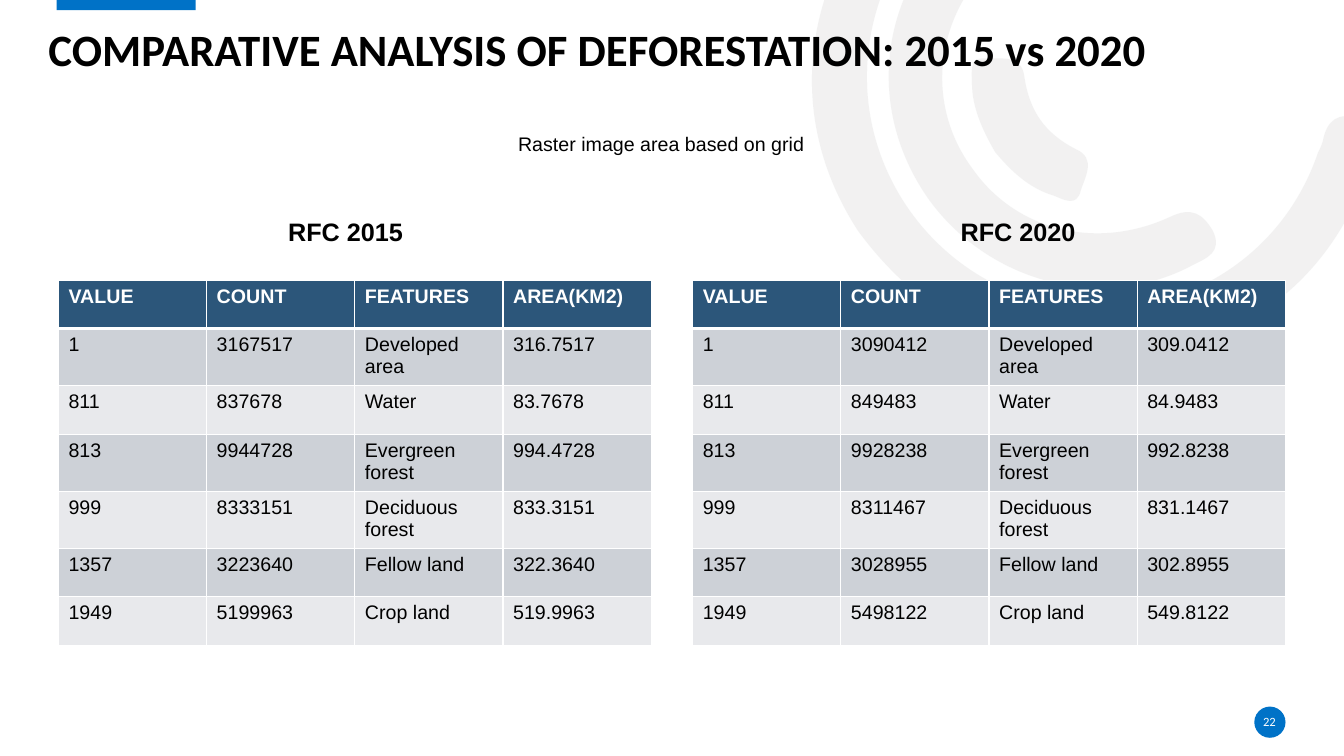
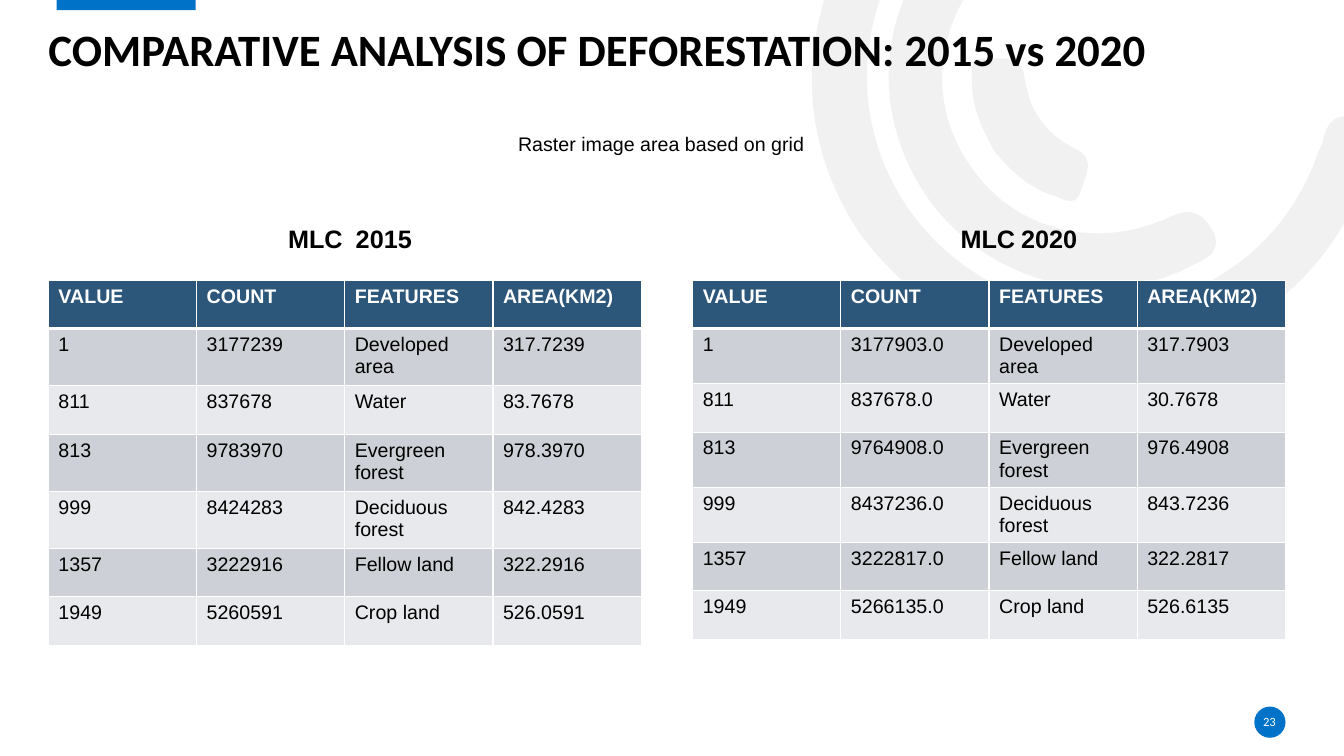
from math import cos, radians, sin

from lxml.etree import SubElement
from pptx import Presentation
from pptx.dml.color import RGBColor
from pptx.enum.shapes import MSO_SHAPE
from pptx.enum.text import MSO_ANCHOR, PP_ALIGN
from pptx.oxml.ns import qn
from pptx.util import Inches, Pt

BLUE, NAVY, WHITE, BLACK, GREY = "0072C7", "2C567A", "FFFFFF", "000000", "E7E6E6"
BANDS = ("CDD1D7", "E8E9EC")
TITLE = "COMPARATIVE ANALYSIS OF DEFORESTATION: 2015 vs 2020"
SUBTITLE = "Raster image area based on grid"
HEADER = ("VALUE", "COUNT", "FEATURES", "AREA(KM2)")
CLASSES = [
    ("1", "Developed area"), ("811", "Water"), ("813", "Evergreen forest"),
    ("999", "Deciduous forest"), ("1357", "Fellow land"), ("1949", "Crop land"),
]
COL_W, ROW_H, TABLE_Y, TABLE_H = 1.47, 0.48, 2.78, 3.63

SLIDES = [
    {
        "number": "22",
        "label_y": 2.1,
        "labels": [("RFC 2015", 2.76, 1.48), ("RFC 2020", 9.43, 1.37)],
        "tables": [
            {"x": 0.58, "data": [
                ("3167517", "316.7517"), ("837678", "83.7678"), ("9944728", "994.4728"),
                ("8333151", "833.3151"), ("3223640", "322.3640"), ("5199963", "519.9963")]},
            {"x": 6.87, "data": [
                ("3090412", "309.0412"), ("849483", "84.9483"), ("9928238", "992.8238"),
                ("8311467", "831.1467"), ("3028955", "302.8955"), ("5498122", "549.8122")]},
        ],
    },
    {
        "number": "23",
        "label_y": 2.17,
        "labels": [("MLC", 2.76, 0.77), ("2015", 3.43, 1.88),
                   ("MLC", 9.43, 0.77), ("2020", 10.03, 1.88)],
        "tables": [
            {"x": 0.48, "data": [
                ("3177239", "317.7239"), ("837678", "83.7678"), ("9783970", "978.3970"),
                ("8424283", "842.4283"), ("3222916", "322.2916"), ("5260591", "526.0591")]},
            {"x": 6.87, "bottom": 0.03, "data": [
                ("3177903.0", "317.7903"), ("837678.0", "30.7678"), ("9764908.0", "976.4908"),
                ("8437236.0", "843.7236"), ("3222817.0", "322.2817"), ("5266135.0", "526.6135")]},
        ],
    },
]

ARC_TURN = 324.2
ARCS = [
    ((8.13, -2.02, 4.85, 6), (8.51, 2.29), [
        (7.99, 1.49, 7.87, 0.5, 8.38, -0.5), (8.9, -1.52, 9.76, -2.03, 10.9, -2.07),
        (11.05, -2.07, 11.21, -2.1, 11.31, -1.95), (11.44, -1.75, 11.27, -1.54, 10.98, -1.54),
        (9.67, -1.54, 8.65, -0.59, 8.6, 0.68), (8.56, 1.81, 9.36, 2.81, 10.46, 3.02),
        (11.6, 3.24, 12.7, 2.61, 13.07, 1.52), (13.09, 1.48, 13.11, 1.44, 13.12, 1.4),
        (13.16, 1.19, 13.27, 1.11, 13.49, 1.17), (13.73, 1.24, 13.67, 1.41, 13.61, 1.56),
        (13.34, 2.45, 12.78, 3.07, 11.91, 3.41), (10.7, 3.87, 9.36, 3.45, 8.51, 2.29)]),
    ((9.01, -0.78, 2.13, 4.26), (9.22, 1.99), [
        (8.62, 1.15, 8.69, 0.07, 9.4, -0.68), (9.51, -0.79, 9.62, -0.95, 9.8, -0.78),
        (9.95, -0.64, 9.97, -0.5, 9.79, -0.32), (9.25, 0.26, 9.2, 1.08, 9.65, 1.68),
        (10.08, 2.29, 10.88, 2.49, 11.61, 2.15), (11.82, 2.05, 11.93, 2.12, 12.03, 2.29),
        (12.13, 2.5, 11.97, 2.56, 11.83, 2.63), (10.96, 3.1, 9.83, 2.82, 9.22, 1.99)]),
    ((9.8, 0.37, 0.78, 1.83), (9.87, 1.51), [
        (9.75, 1.3, 9.64, 1.07, 9.64, 0.82), (9.64, 0.73, 9.61, 0.57, 9.76, 0.58),
        (9.92, 0.59, 10.13, 0.53, 10.16, 0.76), (10.21, 1.1, 10.36, 1.32, 10.67, 1.48),
        (10.88, 1.57, 10.76, 1.76, 10.72, 1.89), (10.68, 2.06, 10.55, 1.98, 10.45, 1.94),
        (10.21, 1.87, 10.03, 1.7, 9.87, 1.51)]),
]


def rgb(color):
    return RGBColor.from_string(color)


def paint(sp, color):
    sp.shadow.inherit = False
    sp.fill.solid()
    sp.fill.fore_color.rgb = rgb(color)
    sp.line.fill.background()


def add_block(s, kind, x, y, w, h, color):
    sp = s.shapes.add_shape(kind, Inches(x), Inches(y), Inches(w), Inches(h))
    paint(sp, color)
    return sp


def write(tf, text, size=14, font="Arial", color=BLACK, bold=False, align=PP_ALIGN.LEFT, spacing=None):
    p = tf.paragraphs[0]
    p.alignment = align
    p.line_spacing = spacing
    r = p.add_run()
    r.text = text
    r.font.size, r.font.name, r.font.bold = Pt(size), font, bold
    r.font.color.rgb = rgb(color)


def add_text(s, text, x, y, w, h, inset=True, anchor=MSO_ANCHOR.TOP, **fmt):
    tf = s.shapes.add_textbox(Inches(x), Inches(y), Inches(w), Inches(h)).text_frame
    tf.word_wrap = True
    tf.vertical_anchor = anchor
    if not inset:
        tf.margin_left = tf.margin_right = tf.margin_top = tf.margin_bottom = 0
    write(tf, text, **fmt)


def add_arc(s, box, start, curves):
    x, y, w, h = box
    co, si = cos(radians(ARC_TURN)), sin(radians(ARC_TURN))

    def local(px, py):
        dx, dy = px - x - w / 2, py - y - h / 2
        return Inches(w / 2 + dx * co + dy * si), Inches(h / 2 - dx * si + dy * co)

    fb = s.shapes.build_freeform(*local(*start))
    fb.add_line_segments([local(*c[4:]) for c in curves], close=True)
    sp = fb.convert_to_shape()
    sp.left, sp.top, sp.width, sp.height = (Inches(v) for v in box)
    sp.rotation = ARC_TURN
    paint(sp, GREY)
    outline = next(sp._element.iter(qn("a:path")))
    outline.set("w", str(Inches(w)))
    outline.set("h", str(Inches(h)))
    for px, py in [start]:
        pt = next(outline.iter(qn("a:pt")))
        for key, value in zip("xy", local(px, py)):
            pt.set(key, str(value))
    for line, c in zip(outline.findall(qn("a:lnTo")), curves):
        bez = SubElement(outline, qn("a:cubicBezTo"))
        for i in (0, 2, 4):
            px, py = local(c[i], c[i + 1])
            SubElement(bez, qn("a:pt"), x=str(px), y=str(py))
        outline.replace(line, bez)
    clr = next(sp._element.spPr.iter(qn("a:srgbClr")))
    SubElement(clr, qn("a:alpha")).set("val", "53000")


def add_frame(s, number):
    for arc in ARCS:
        add_arc(s, *arc)
    add_block(s, MSO_SHAPE.RECTANGLE, 0.56, -0.02, 1.38, 0.12, BLUE).rotation = 180
    add_block(s, MSO_SHAPE.OVAL, 12.44, 7.01, 0.31, 0.31, BLUE)
    add_block(s, MSO_SHAPE.RECTANGLE, 0.31, 6.71, 1.67, 0.64, WHITE)
    add_text(s, TITLE, 0.48, 0.27, 12.28, 0.49, inset=False, anchor=MSO_ANCHOR.BOTTOM,
             size=32, font="Calibri", bold=True, spacing=0.9)
    add_text(s, number, 12.43, 7.06, 0.32, 0.2, inset=False, anchor=MSO_ANCHOR.MIDDLE,
             size=9, font="Calibri", color=WHITE, align=PP_ALIGN.CENTER)
    add_text(s, SUBTITLE, 5.04, 1.26, 3.26, 0.34)


def set_borders(cell, **widths):
    tcPr = cell._tc.get_or_add_tcPr()
    for side in "LRTB":
        ln = SubElement(tcPr, qn(f"a:ln{side}"), w=str(Pt(widths.get(side, 1))))
        fill = SubElement(ln, qn("a:solidFill"))
        SubElement(fill, qn("a:srgbClr"), val=WHITE)


def add_area_table(s, x, data, bottom=0.05):
    rows = [HEADER] + [(value, count, feature, area)
                       for (value, feature), (count, area) in zip(CLASSES, data)]
    frame = s.shapes.add_table(len(rows), len(HEADER), Inches(x), Inches(TABLE_Y),
                               Inches(COL_W * len(HEADER)), Inches(TABLE_H))
    table = frame.table
    table.horz_banding = False
    for col in table.columns:
        col.width = Inches(COL_W)
    for i, row in enumerate(rows):
        table.rows[i].height = Inches(ROW_H)
        head = i == 0
        for j, text in enumerate(row):
            cell = table.cell(i, j)
            cell.margin_bottom = Inches(bottom)
            set_borders(cell, T=3 if i == 1 else 1, B=3 if head else 1)
            cell.fill.solid()
            cell.fill.fore_color.rgb = rgb(NAVY if head else BANDS[(i - 1) % 2])
            write(cell.text_frame, text, color=WHITE if head else BLACK, bold=head)
    frame.height = Inches(TABLE_H)


def main():
    """Build the deforestation comparison slides."""
    prs = Presentation()
    prs.slide_width, prs.slide_height = Inches(13.33), Inches(7.5)
    for content in SLIDES:
        s = prs.slides.add_slide(prs.slide_layouts[6])
        add_frame(s, content["number"])
        for text, x, w in content["labels"]:
            add_text(s, text, x, content["label_y"], w, 0.4, size=18, bold=True)
        for table in content["tables"]:
            add_area_table(s, **table)
    prs.save("out.pptx")


if __name__ == "__main__":
    main()
